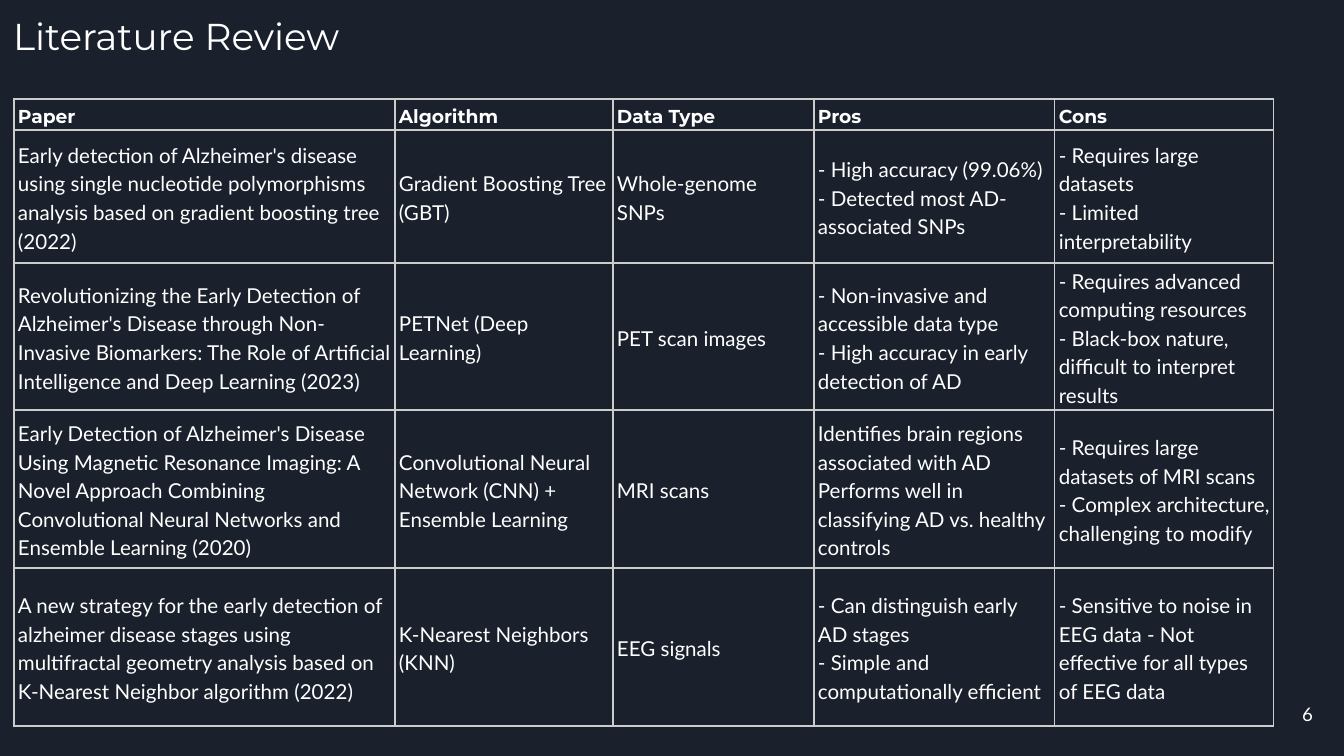
from lxml.etree import SubElement as Sub
from pptx import Presentation as Deck
from pptx.dml.color import RGBColor as RGB
from pptx.enum.text import MSO_ANCHOR as Anchor, PP_ALIGN as Align
from pptx.oxml.ns import qn
from pptx.util import Emu, Pt

SCALE = 914400 / 134.4
COLORS = {"back": "1B212C", "text": "FFFFFF", "grid": "CCCCCC"}
HEAD, BODY = "Montserrat", "Lato"

COLS = [381, 218, 201, 241, 219]
ROWS = [31, 133, 147, 158, 158]

# Each line of a cell is one paragraph
CELLS = [
    ["Paper", "Algorithm", "Data Type", "Pros", "Cons"],
    [
        "Early detection of Alzheimer's disease using single nucleotide "
        "polymorphisms analysis based on gradient boosting tree (2022)",
        "Gradient Boosting Tree (GBT)",
        "Whole-genome SNPs",
        "- High accuracy (99.06%) - Detected most AD-associated SNPs",
        "- Requires large datasets\n- Limited interpretability",
    ],
    [
        "Revolutionizing the Early Detection of Alzheimer's Disease through "
        "Non-Invasive Biomarkers: The Role of Artificial Intelligence and "
        "Deep Learning (2023)",
        "PETNet (Deep Learning)",
        "PET scan images",
        "- Non-invasive and accessible data type\n"
        "- High accuracy in early detection of AD",
        "- Requires advanced computing resources\n"
        "- Black-box nature, difficult to interpret results",
    ],
    [
        "Early Detection of Alzheimer's Disease Using Magnetic Resonance "
        "Imaging: A Novel Approach Combining Convolutional Neural Networks "
        "and Ensemble Learning (2020)",
        "Convolutional Neural Network (CNN) + Ensemble Learning",
        "MRI scans",
        "Identifies brain regions associated with AD\n"
        "Performs well in classifying AD vs. healthy controls",
        "- Requires large datasets of MRI scans\n"
        "- Complex architecture, challenging to modify",
    ],
    [
        "A new strategy for the early detection of alzheimer disease stages "
        "using multifractal geometry analysis based on K-Nearest Neighbor "
        "algorithm (2022)",
        "K-Nearest Neighbors (KNN)",
        "EEG signals",
        "- Can distinguish early AD stages\n"
        "- Simple and computationally efficient",
        "- Sensitive to noise in EEG data - Not effective for all types "
        "of EEG data",
    ],
]


def px(num):
    return Emu(round(num * SCALE))


def write(frame, text, font=BODY, size=11, bold=False, align=Align.LEFT,
          space=None):
    for i, line in enumerate(text.split("\n")):
        para = frame.paragraphs[0] if i == 0 else frame.add_paragraph()
        para.alignment = align
        if space:
            para.line_spacing = space
        run = para.add_run()
        run.text = line
        run.font.name = font
        run.font.size = Pt(size)
        run.font.bold = bold
        run.font.color.rgb = RGB.from_string(COLORS["text"])


def pad(part, side, top):
    part.margin_left = part.margin_right = px(side)
    part.margin_top = part.margin_bottom = px(top)


class Page:
    def __init__(self, deck):
        self.slide = deck.slides.add_slide(deck.slide_layouts[6])
        fill = self.slide.background.fill
        fill.solid()
        fill.fore_color.rgb = RGB.from_string(COLORS["back"])

    def text(self, x, y, w, h, words, anchor=Anchor.TOP, **form):
        box = self.slide.shapes.add_textbox(px(x), px(y), px(w), px(h))
        frame = box.text_frame
        frame.word_wrap = True
        frame.vertical_anchor = anchor
        pad(frame, 13, 13)
        write(frame, words, **form)

    def table(self, x, y, cols, rows, cells):
        grid = self.slide.shapes.add_table(
            len(rows), len(cols), px(x), px(y), px(sum(cols)), px(sum(rows))
        ).table
        grid.first_row = grid.horz_banding = False
        for col, w in zip(grid.columns, cols):
            col.width = px(w)
        for row, h in zip(grid.rows, rows):
            row.height = px(h)
        for r, line in enumerate(cells):
            for c, words in enumerate(line):
                self.cell(grid.cell(r, c), words, head=r == 0)

    def cell(self, cell, words, head):
        pad(cell, 4, 2)
        cell.vertical_anchor = Anchor.BOTTOM if head else Anchor.MIDDLE
        self.edge(cell)
        cell.fill.background()
        form = {"font": HEAD, "size": 10, "bold": True} if head else {}
        write(cell.text_frame, words, space=1.15, **form)

    def edge(self, cell):
        props = cell._tc.get_or_add_tcPr()
        for side in "LRTB":
            line = Sub(props, qn(f"a:ln{side}"), w=str(Pt(0.75)))
            fill = Sub(line, qn("a:solidFill"))
            Sub(fill, qn("a:srgbClr"), val=COLORS["grid"])


def main():
    deck = Deck()
    deck.slide_width, deck.slide_height = px(1344), px(756)
    page = Page(deck)

    # Page number
    page.text(1246, 685, 80, 58, "6", anchor=Anchor.MIDDLE, size=10,
              align=Align.RIGHT)

    # Table of papers
    page.table(14, 99, COLS, ROWS, CELLS)

    # Title
    page.text(0, 0, 657, 73, "Literature Review", font=HEAD, size=20)

    deck.save("out.pptx")


if __name__ == "__main__":
    main()
